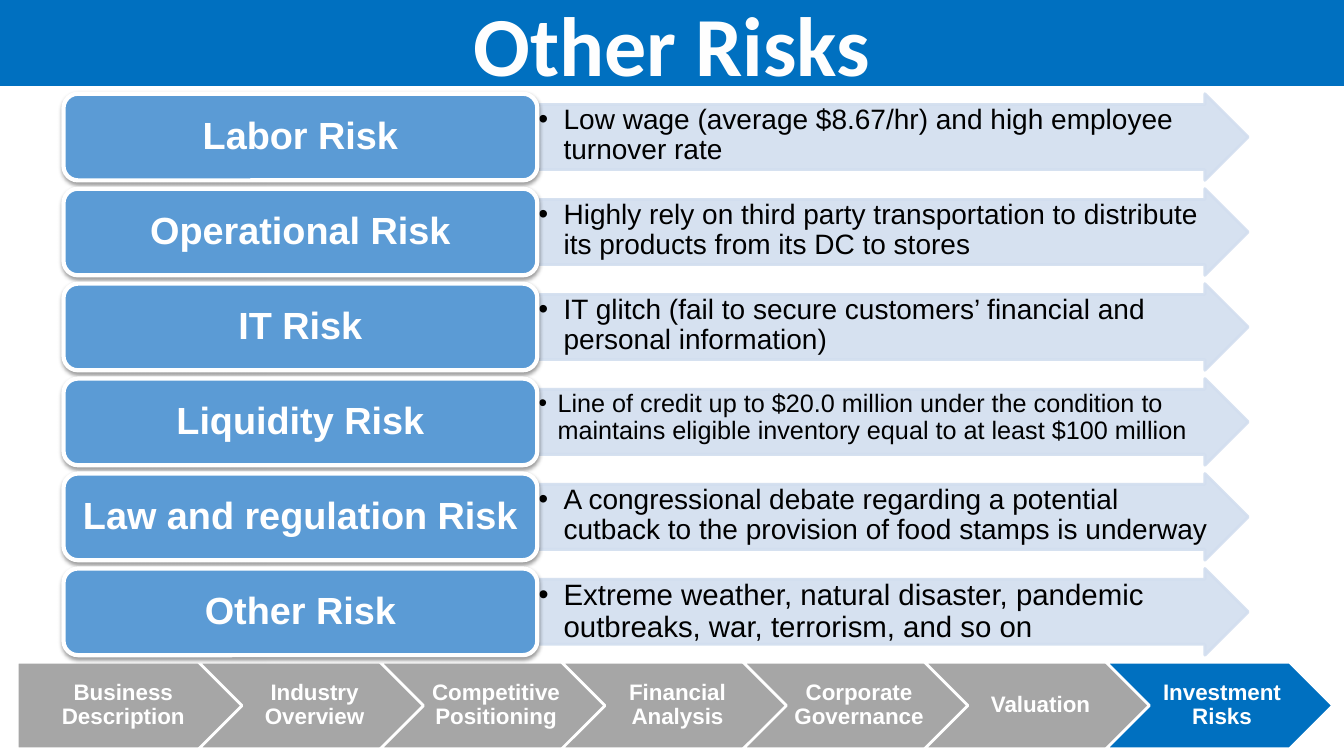
from lxml import etree
from pptx import Presentation
from pptx.dml.color import RGBColor
from pptx.enum.shapes import MSO_SHAPE
from pptx.enum.text import MSO_ANCHOR, MSO_AUTO_SIZE, PP_ALIGN
from pptx.oxml import parse_xml
from pptx.oxml.ns import nsdecls, qn
from pptx.util import Inches, Pt

HOME_PLATE, CHEVRON = MSO_SHAPE.PENTAGON, MSO_SHAPE.CHEVRON
ROUNDED, ARROW = MSO_SHAPE.ROUNDED_RECTANGLE, MSO_SHAPE.RIGHT_ARROW
TOP, MIDDLE = MSO_ANCHOR.TOP, MSO_ANCHOR.MIDDLE
LEFT, CENTER = PP_ALIGN.LEFT, PP_ALIGN.CENTER
TITLE_ONLY = 5

COLORS = {
    "blue": "0070C0",
    "grey": "A6A6A6",
    "label": "5B9BD5",
    "arrow": "D2DEEF",
    "white": "FFFFFF",
    "title": "FEFEFE",
    "black": "000000",
}

SECTIONS = ["Business Description", "Industry Overview", "Competitive Positioning",
            "Financial Analysis", "Corporate Governance", "Valuation",
            "Investment Risks"]
CURRENT_SECTION = "Investment Risks"

# Label, detail, detail size in points, hanging indent in inches
RISKS = [
    ("Labor Risk",
     "Low wage (average $8.67/hr) and high employee turnover rate", 20, 0.25),
    ("Operational Risk",
     "Highly rely on third party transportation to distribute its products "
     "from its DC to stores", 20, 0.25),
    ("IT Risk",
     "IT glitch (fail to secure customers’ financial and personal information)",
     20, 0.25),
    ("Liquidity Risk",
     "Line of credit up to $20.0 million under the condition to maintains "
     "eligible inventory equal to at least $100 million", 18, 0.19),
    ("Law and regulation Risk",
     "A congressional debate regarding a potential cutback to the provision "
     "of food stamps is underway", 20, 0.25),
    ("Other Risk",
     "Extreme weather, natural disaster, pandemic outbreaks, war, terrorism, "
     "and so on", 21, 0.25),
]

ITEM_HEIGHT = 0.86
RISK_TOP, RISK_LAST_TOP = 0.93, 5.64
LABEL_LEFT, LABEL_WIDTH, ARROW_WIDTH = 0.63, 4.7, 7.05
NAV_LEFT, NAV_TOP, NAV_WIDTH, NAV_STEP = 0.17, 6.57, 2.25, 1.8


def rgb(name):
    return RGBColor.from_string(COLORS[name])


def paint(sp, fill, line, width):
    sp.fill.solid()
    sp.fill.fore_color.rgb = rgb(fill)
    sp.line.color.rgb = rgb(line)
    sp.line.width = Pt(width)


def add_block(slide, kind, box, fill, line, width):
    sp = slide.shapes.add_shape(kind, *(Inches(v) for v in box))
    sp.shadow.inherit = False
    paint(sp, fill, line, width)
    return sp


def set_text(sp, text, font, insets, anchor=MIDDLE, align=CENTER, spacing=0.9,
             indent=None):
    """Write one paragraph; an indent makes it a hanging bullet."""
    tf = sp.text_frame
    left, top, right, bottom = (Inches(v) for v in insets)
    frame = {"word_wrap": True, "auto_size": MSO_AUTO_SIZE.NONE,
             "vertical_anchor": anchor, "margin_left": left, "margin_top": top,
             "margin_right": right, "margin_bottom": bottom}
    for name, value in frame.items():
        setattr(tf, name, value)
    p = tf.paragraphs[0]
    p.alignment, p.line_spacing = align, spacing
    if indent:
        pPr = p._p.get_or_add_pPr()
        pPr.set("marL", str(Inches(indent)))
        pPr.set("indent", str(-Inches(indent)))
        etree.SubElement(pPr, qn("a:buFont"), typeface="Arial")
        etree.SubElement(pPr, qn("a:buChar"), char="•")
    r = p.add_run()
    r.text = text
    r.font.color.rgb = rgb(font["color"])
    for name in ("name", "size", "bold"):
        setattr(r.font, name, font[name])


def font_format(size, color="white", bold=True, name="Arial"):
    return {"name": name, "size": Pt(size), "bold": bold, "color": color}


def make_translucent(sp, percent):
    for color in sp._element.spPr.iter(qn("a:srgbClr")):
        etree.SubElement(color, qn("a:alpha"), val=str(percent * 1000))


def drop_shadow(sp):
    effects = sp._element.spPr.find(qn("a:effectLst"))
    effects.append(parse_xml(
        f'<a:outerShdw {nsdecls("a")} blurRad="{Pt(3.1)}" dist="{Pt(1.6)}" '
        f'dir="5400000" rotWithShape="0"><a:srgbClr val="{COLORS["black"]}">'
        '<a:alpha val="38000"/></a:srgbClr></a:outerShdw>'))


def add_title(slide, width):
    title = slide.shapes.title
    title.left, title.top, title.width, title.height = 0, 0, width, Inches(0.85)
    paint(title, "blue", "blue", 1)
    set_text(title, "Other Risks", font_format(60, "title", name="Calibri"),
             (0.1, 0.05, 0.1, 0.05), spacing=1.0)


def add_risk(slide, top, label, detail, size, indent):
    arrow = add_block(slide, ARROW,
                      (LABEL_LEFT + LABEL_WIDTH, top, ARROW_WIDTH, ITEM_HEIGHT),
                      "arrow", "arrow", 2)
    arrow.adjustments[0] = 0.75
    make_translucent(arrow, 90)
    set_text(arrow, detail, font_format(size, "black", bold=False),
             (0.01,) * 4, TOP, LEFT, indent=indent)

    tag = add_block(slide, ROUNDED, (LABEL_LEFT, top, LABEL_WIDTH, ITEM_HEIGHT),
                    "label", "white", 3)
    drop_shadow(tag)
    set_text(tag, label, font_format(27), (0.11, 0.06, 0.11, 0.06))


def add_navigation(slide):
    for i, section in enumerate(SECTIONS):
        first = i == 0
        sp = add_block(slide, HOME_PLATE if first else CHEVRON,
                       (NAV_LEFT + i * NAV_STEP, NAV_TOP, NAV_WIDTH, ITEM_HEIGHT),
                       "blue" if section == CURRENT_SECTION else "grey", "white", 2)
        set_text(sp, section, font_format(16),
                 (0.09 if first else 0.07, 0.05, 0.02, 0.05))


def main():
    prs = Presentation()
    prs.slide_width, prs.slide_height = Inches(13.33), Inches(7.5)
    slide = prs.slides.add_slide(prs.slide_layouts[TITLE_ONLY])
    add_navigation(slide)
    add_title(slide, prs.slide_width)
    step = (RISK_LAST_TOP - RISK_TOP) / (len(RISKS) - 1)
    for i, risk in enumerate(RISKS):
        add_risk(slide, RISK_TOP + i * step, *risk)
    prs.save("out.pptx")


if __name__ == "__main__":
    main()
